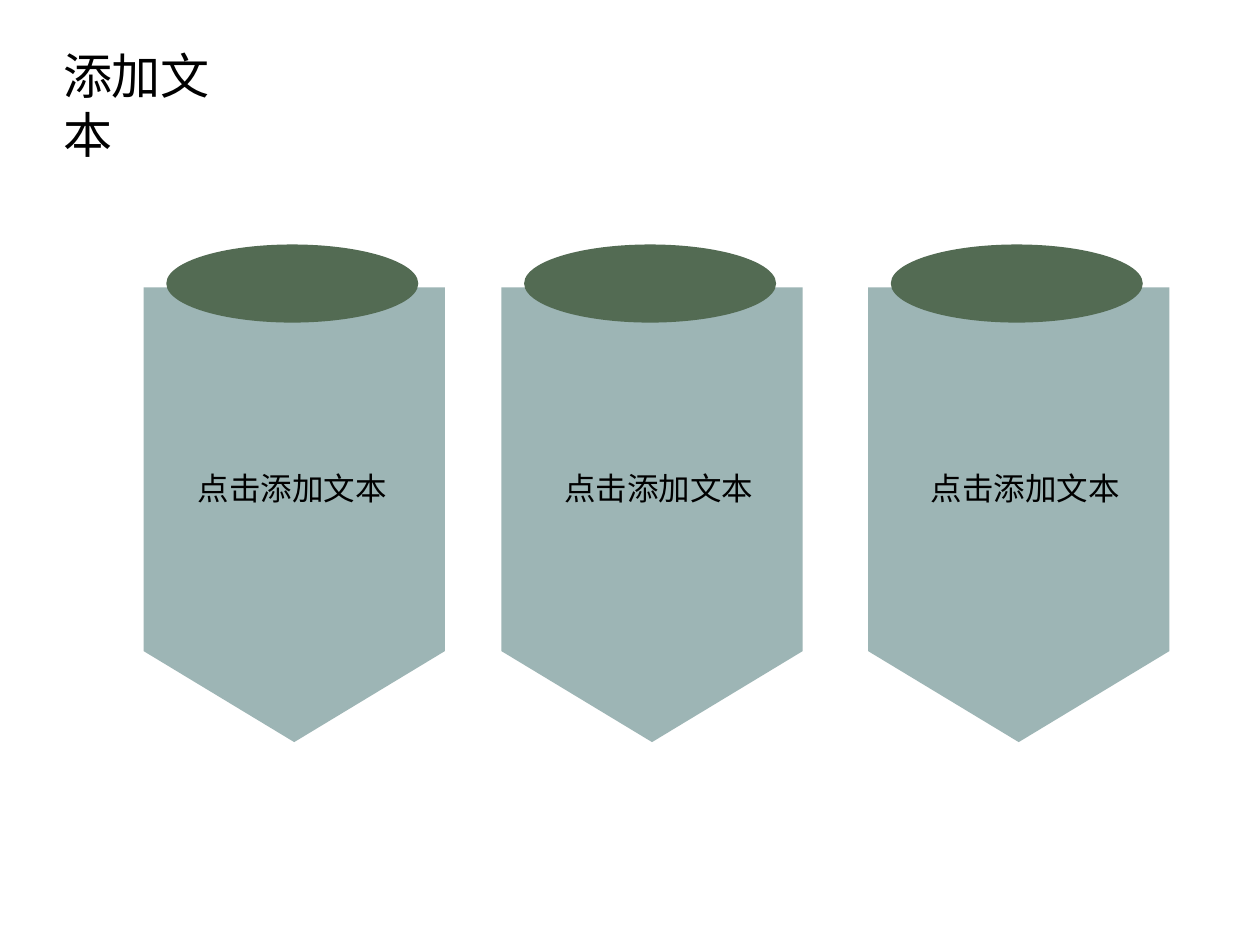
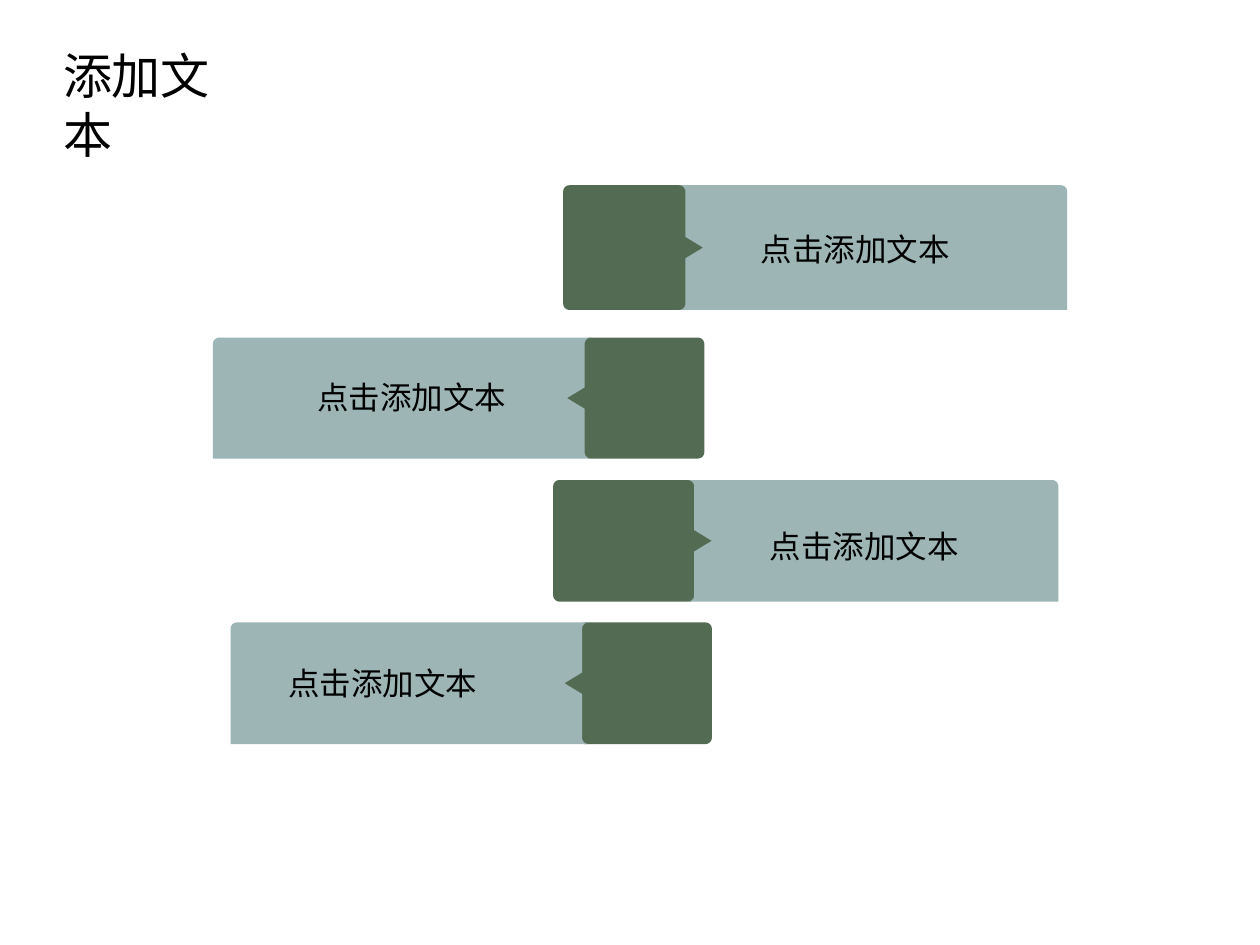
"""Builds two slides: three hanging pennants and four alternating banners."""
import math
from dataclasses import dataclass

from lxml import etree
from pptx import Presentation
from pptx import util as u
from pptx.dml.color import RGBColor
from pptx.enum import shapes, text
from pptx.oxml.ns import qn


@dataclass(frozen=True)
class Theme:
    """Colours, font, type sizes and banner details; lengths are grid cells."""
    dark: str = "536B53"
    light: str = "9DB5B5"
    ink: str = "000000"
    font: str = "Noto Sans CJK SC"
    title_size: int = 28
    label_size: int = 18
    columns: int = 100
    rows: int = 75
    radius: float = 0.5
    notch: float = 0.85
    tag_tip: float = 1.5
    band_tip: float = 1.4


def arc(cx, cy, r, start, end, steps=6):
    """Return points along a circular arc, angles in degrees."""
    angles = [math.radians(start + (end - start) * i / steps) for i in range(steps + 1)]
    return [(cx + r * math.cos(a), cy + r * math.sin(a)) for a in angles]


class Deck:
    """Holds the theme and the current slide, and draws each kind of element."""

    def __init__(self, theme):
        """Open a 10 by 7.5 inch presentation."""
        self.theme = theme
        self.prs = Presentation()
        self.prs.slide_width, self.prs.slide_height = u.Inches(10), u.Inches(7.5)
        self.s = None

    def x(self, column):
        """Convert columns to a length."""
        return round(self.prs.slide_width * column / self.theme.columns)

    def y(self, row):
        """Convert rows to a length."""
        return round(self.prs.slide_height * row / self.theme.rows)

    def box(self, left, top, width, height):
        """Convert a grid box to lengths."""
        return self.x(left), self.y(top), self.x(width), self.y(height)

    def slide(self, title):
        """Start a slide with its title."""
        self.s = self.prs.slides.add_slide(self.prs.slide_layouts[5])
        sp = self.s.shapes.title
        sp.left, sp.top, sp.width, sp.height = self.box(4, 3.1, 17.5, 5.7)
        self.add_words(sp, title, self.theme.title_size)

    def add_words(self, sp, words, size):
        """Put one left-aligned run into a shape."""
        tf = sp.text_frame
        tf.word_wrap = False
        tf.auto_size = text.MSO_AUTO_SIZE.SHAPE_TO_FIT_TEXT
        tf.vertical_anchor = text.MSO_ANCHOR.TOP
        p = tf.paragraphs[0]
        p.alignment = text.PP_ALIGN.LEFT
        r = p.add_run()
        r.text = words
        r.font.size = u.Pt(size)
        r.font.name = self.theme.font
        r.font.color.rgb = RGBColor.from_string(self.theme.ink)
        ea = etree.SubElement(r.font._element, qn("a:ea"))
        ea.set("typeface", self.theme.font)

    def label(self, left, top, words):
        """Add a one-line label."""
        sp = self.s.shapes.add_textbox(*self.box(left, top, 17, 4))
        self.add_words(sp, words, self.theme.label_size)

    def paint(self, sp, colour):
        """Give a shape a flat fill without line or shadow."""
        sp.shadow.inherit = False
        sp.fill.solid()
        sp.fill.fore_color.rgb = RGBColor.from_string(colour)
        sp.line.fill.background()

    def shape(self, kind, left, top, width, height, colour):
        """Add a preset shape."""
        sp = self.s.shapes.add_shape(kind, *self.box(left, top, width, height))
        self.paint(sp, colour)

    def outline(self, left, top, direction, points, colour):
        """Add a closed outline, mirrored when direction is -1."""
        pts = [(self.x(left + direction * px), self.y(top + py)) for px, py in points]
        fb = self.s.shapes.build_freeform(*pts[0])
        fb.add_line_segments(pts[1:], close=True)
        self.paint(fb.convert_to_shape(), colour)

    def tag(self, left, top, width, height, direction):
        """Add a rounded tag with a pointer on its inner side."""
        t = self.theme
        r, mid = t.radius, height / 2
        points = (arc(r, r, r, 180, 270) + arc(width - r, r, r, 270, 360)
                  + [(width, mid - t.notch), (width + t.tag_tip, mid), (width, mid + t.notch)]
                  + arc(width - r, height - r, r, 0, 90) + arc(r, height - r, r, 90, 180))
        self.outline(left, top, direction, points, t.dark)

    def band(self, left, top, width, height, direction):
        """Add a band notched to fit a tag, with one rounded outer corner."""
        t = self.theme
        r, mid = t.radius, height / 2
        points = (arc(-r, r, r, 270, 360)
                  + [(0, mid - t.notch), (t.band_tip, mid), (0, mid + t.notch)]
                  + arc(-r, height - r, r, 0, 90) + [(width, height)]
                  + arc(width - r, r, r, 360, 270))
        self.outline(left, top, direction, points, t.light)


def pennants(deck):
    """Draw three pennants with oval caps."""
    deck.slide("添加文本")
    kinds = shapes.MSO_SHAPE
    for left, label_left in ((11.4, 14.7), (39.8, 43.8), (68.9, 72.9)):
        deck.shape(kinds.FLOWCHART_OFFPAGE_CONNECTOR, left, 22.8, 23.9, 36.1, deck.theme.light)
        deck.shape(kinds.OVAL, left + 1.8, 19.4, 20, 6.2, deck.theme.dark)
        deck.label(label_left, 36.7, "点击添加文本")


def banners(deck):
    """Draw four banners pointing right and left in turn."""
    deck.slide("添加文本")
    rows = (
        (44.7, 9.9, 54.4, 30.3, 14.7, 9.9, 59.4, 17.8),
        (55.9, 9.6, 46.4, 29.5, 26.8, 9.6, 24.2, 29.5),
        (43.9, 11.3, 55.1, 28.9, 38.1, 9.65, 60.1, 41.3),
        (56.5, 10.6, 46.2, 27.9, 49.4, 9.65, 21.9, 52.2),
    )
    for i, (tag_x, tag_w, band_x, band_w, top, height, label_x, label_y) in enumerate(rows):
        direction = -1 if i % 2 else 1
        deck.tag(tag_x, top, tag_w, height, direction)
        deck.band(band_x, top, band_w, height, direction)
        deck.label(label_x, label_y, "点击添加文本")


def main():
    """Build and save the deck."""
    deck = Deck(Theme())
    pennants(deck)
    banners(deck)
    deck.prs.save("out.pptx")


if __name__ == "__main__":
    main()
